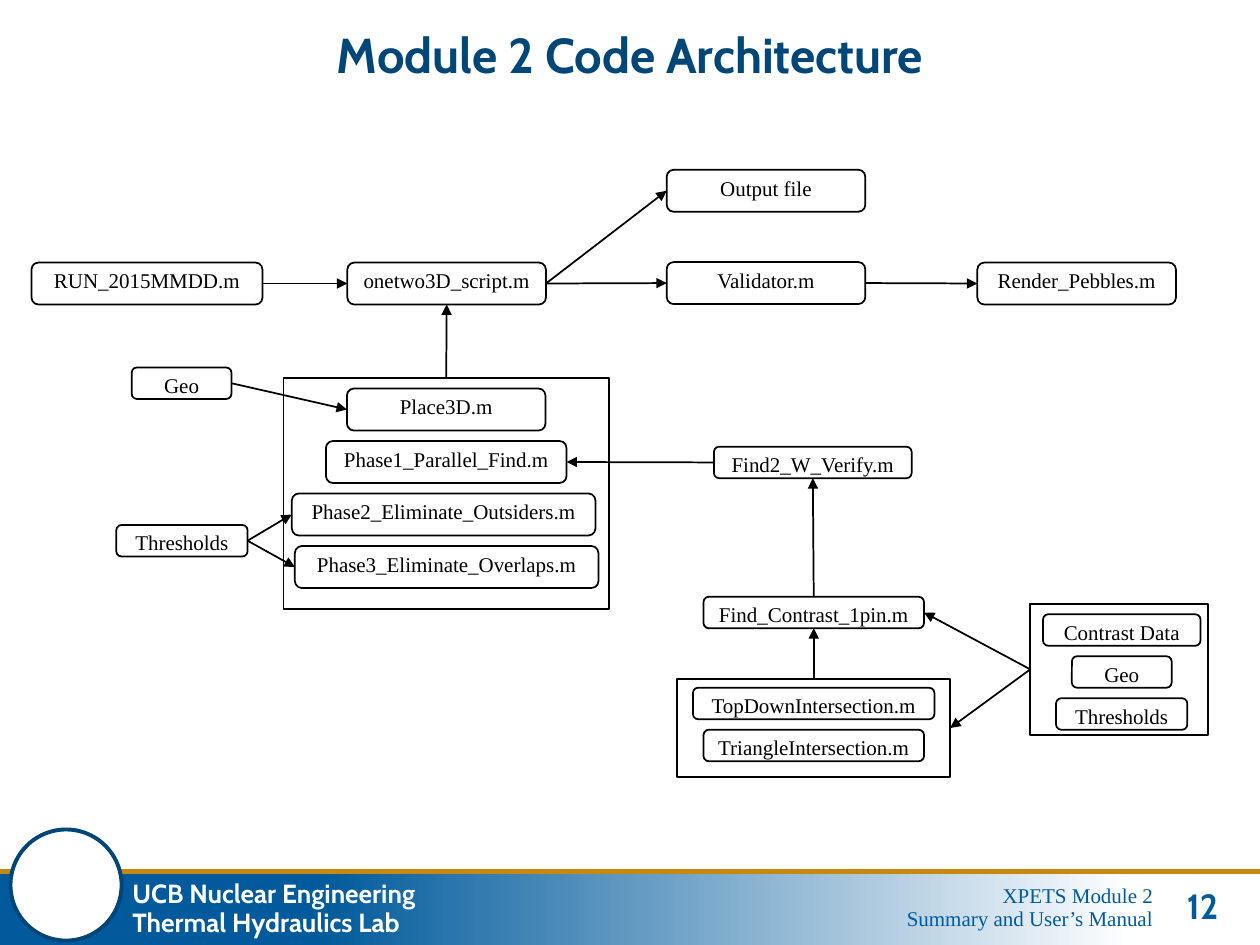
from lxml import etree
from pptx import Presentation
from pptx.dml.color import RGBColor
from pptx.enum import shapes, text
from pptx.oxml.ns import qn
from pptx.util import Pt

BLUE, NAVY, GOLD = "005A9B", "004577", "C78812"
BLACK, WHITE = "000000", "FFFFFF"
SERIF, SANS = "Times New Roman", "Cabin"
TOP, LEFT, BOTTOM, RIGHT = range(4)
CENTER = text.PP_ALIGN.CENTER


def color(value):
    return RGBColor.from_string(value)


def write(shape, content, size, font, ink, bold=False, align=CENTER,
          anchor=text.MSO_ANCHOR.MIDDLE, wrap=True):
    """Fill a shape with text, one paragraph per line, in a single format."""
    frame = shape.text_frame
    frame.text = content
    frame.word_wrap = wrap
    frame.auto_size = text.MSO_AUTO_SIZE.NONE
    frame.vertical_anchor = anchor
    for paragraph in frame.paragraphs:
        paragraph.alignment = align
        paragraph.line_spacing = 0.9
        paragraph.space_before = Pt(0)
        paragraph.font.size = Pt(size)
        paragraph.font.name = font
        paragraph.font.bold = bold
        paragraph.font.color.rgb = color(ink)


presentation = Presentation()
presentation.slide_width, presentation.slide_height = Pt(720), Pt(540)
slide = presentation.slides.add_slide(presentation.slide_layouts[5])

title = slide.shapes.title
title.left, title.top, title.width, title.height = Pt(63), Pt(12), Pt(594), Pt(42)
write(title, "Module 2 Code Architecture", 28, SANS, "004677", bold=True)

# Footer
band = slide.shapes.add_shape(
    shapes.MSO_SHAPE.RECTANGLE, Pt(0), Pt(498), Pt(720), Pt(42))
band.shadow.inherit = False
band.line.fill.background()
band.fill.gradient()
band.fill.gradient_angle = 0
for stop, (position, tone) in zip(band.fill.gradient_stops, [(0.25, BLUE), (0.9, WHITE)]):
    stop.position = position
    stop.color.rgb = color(tone)

footer_texts = [
    # text, left, top, width, height, size, font, colour, bold, alignment
    ("12", 666, 504.5, 42.5, 29, 20, SANS, BLUE, True, CENTER),
    ("UCB Nuclear Engineering\nThermal Hydraulics Lab",
     68.5, 499.5, 184, 40.5, 15, SANS, WHITE, True, text.PP_ALIGN.LEFT),
    ("XPETS Module 2\nSummary and User’s Manual",
     432, 502.5, 234, 33, 12, SERIF, BLUE, False, text.PP_ALIGN.RIGHT),
]
for content, left, top, width, height, *style in footer_texts:
    box = slide.shapes.add_textbox(Pt(left), Pt(top), Pt(width), Pt(height))
    write(box, content, *style)

rule = slide.shapes.add_connector(
    shapes.MSO_CONNECTOR.STRAIGHT, Pt(0), Pt(498), Pt(720), Pt(498))
rule.line.color.rgb = color(GOLD)
rule.line.width = Pt(3.25)
etree.SubElement(rule._element.spPr, qn("a:effectLst"))

badge = slide.shapes.add_shape(
    shapes.MSO_SHAPE.OVAL, Pt(6), Pt(474), Pt(63.5), Pt(63.5))
badge.shadow.inherit = False
badge.fill.solid()
badge.fill.fore_color.rgb = color(WHITE)
badge.line.color.rgb = color(NAVY)
badge.line.width = Pt(2.25)

# Modules and their inputs: key, label (None for a frame), left, top, width, height
TALL, LOW = 24, 18
nodes = [
    ("run", "RUN_2015MMDD.m", 18, 150, 132, TALL),
    ("script", "onetwo3D_script.m", 198.5, 150, 113.5, TALL),
    ("output", "Output file", 381, 97, 113.5, TALL),
    ("validator", "Validator.m", 381, 149.75, 113.5, TALL),
    ("render", "Render_Pebbles.m", 558.5, 150, 113.5, TALL),
    ("place", "Place3D.m", 198.25, 222, 113.5, TALL),
    ("phase1", "Phase1_Parallel_Find.m", 186.25, 252, 137.5, TALL),
    ("phase2", "Phase2_Eliminate_Outsiders.m", 166.75, 282, 173.5, TALL),
    ("phase3", "Phase3_Eliminate_Overlaps.m", 168.5, 312, 173.5, TALL),
    ("phases frame", None, 162, 216, 186, 132),
    ("geo", "Geo", 75.25, 210, 57, LOW),
    ("thresholds", "Thresholds", 66.5, 300, 75, LOW),
    ("find2", "Find2_W_Verify.m", 408, 255.25, 113, LOW),
    ("contrast", "Find_Contrast_1pin.m", 402, 341, 126, LOW),
    ("top down", "TopDownIntersection.m", 396, 393, 138, LOW),
    ("triangle", "TriangleIntersection.m", 402, 417, 126, LOW),
    ("intersections frame", None, 387, 388, 156, 56),
    ("data", "Contrast Data", 596, 351, 90, LOW),
    ("data geo", "Geo", 612.5, 375, 57, LOW),
    ("data thresholds", "Thresholds", 603.5, 399, 75, LOW),
    ("data frame", None, 588.75, 345, 101.5, 75),
]
boxes = {}
for key, label, *bounds in nodes:
    kind = shapes.MSO_SHAPE.ROUNDED_RECTANGLE if label else shapes.MSO_SHAPE.RECTANGLE
    box = slide.shapes.add_shape(kind, *map(Pt, bounds))
    box.shadow.inherit = False
    box.line.color.rgb = color(BLACK)
    box.line.width = Pt(1)
    if label:
        box.fill.solid()
        box.fill.fore_color.rgb = color(WHITE)
        write(box, label, 12, SERIF, BLACK, anchor=text.MSO_ANCHOR.TOP, wrap=False)
    else:
        box.fill.background()
    boxes[key] = box

arrows = [
    ("run", RIGHT, "script", LEFT),
    ("script", RIGHT, "output", LEFT),
    ("script", RIGHT, "validator", LEFT),
    ("validator", RIGHT, "render", LEFT),
    ("phases frame", TOP, "script", BOTTOM),
    ("geo", RIGHT, "place", LEFT),
    ("thresholds", RIGHT, "phase2", LEFT),
    ("thresholds", RIGHT, "phase3", LEFT),
    ("find2", LEFT, "phase1", RIGHT),
    ("contrast", TOP, "find2", BOTTOM),
    ("intersections frame", TOP, "contrast", BOTTOM),
    ("data frame", LEFT, "contrast", RIGHT),
    ("data frame", LEFT, "intersections frame", RIGHT),
]
for source, source_side, target, target_side in arrows:
    arrow = slide.shapes.add_connector(shapes.MSO_CONNECTOR.STRAIGHT, 0, 0, 0, 0)
    arrow.begin_connect(boxes[source], source_side)
    arrow.end_connect(boxes[target], target_side)
    arrow.line.color.rgb = color(BLACK)
    arrow.line.width = Pt(1)
    properties = arrow._element.spPr
    etree.SubElement(properties.find(qn("a:ln")), qn("a:tailEnd"), type="triangle")
    etree.SubElement(properties, qn("a:effectLst"))

presentation.save("out.pptx")
